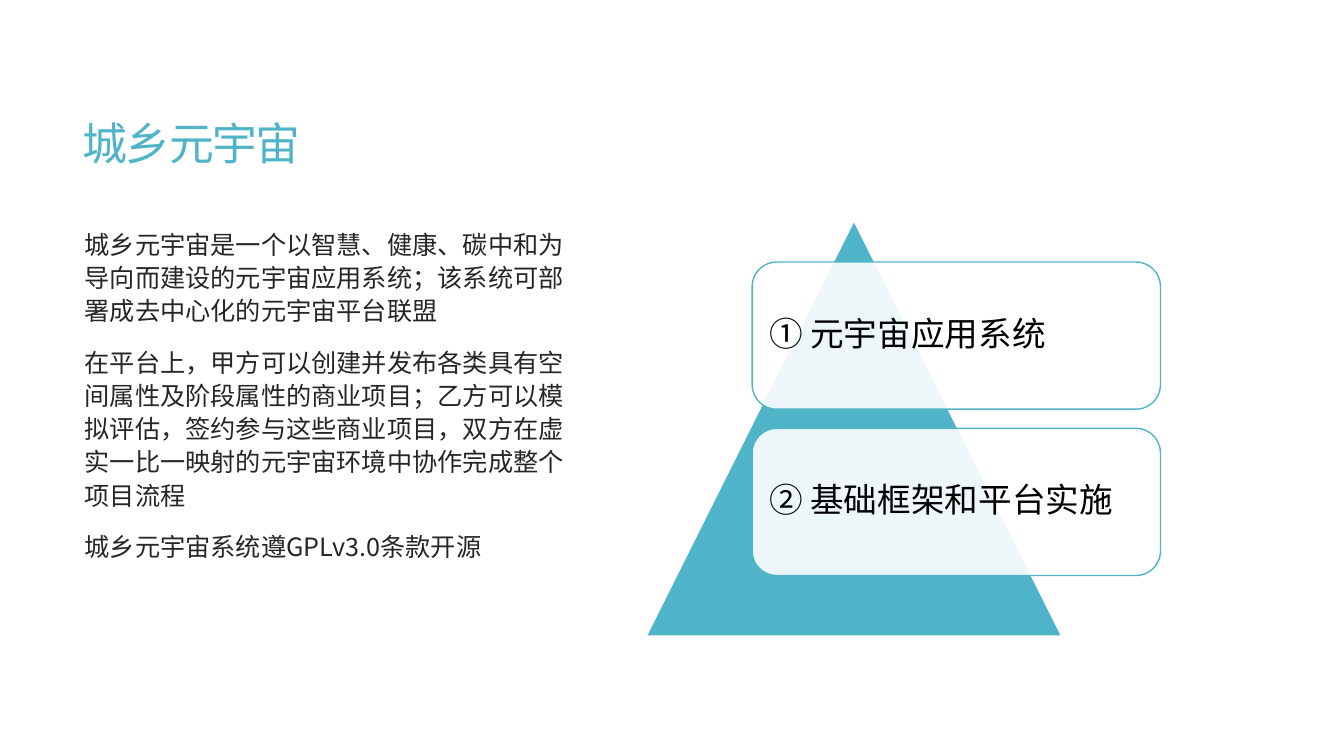
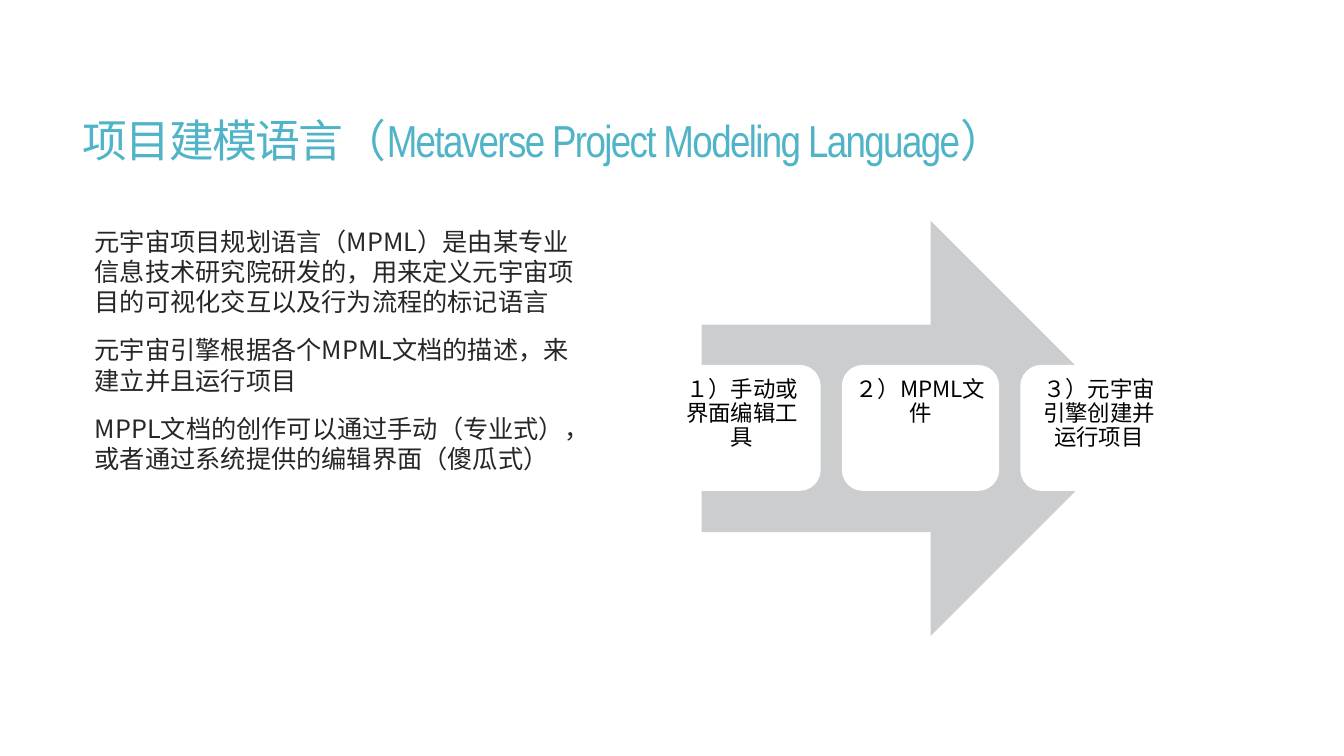
from dataclasses import dataclass

from lxml import etree
from pptx import Presentation
from pptx import util as u
from pptx.dml.color import RGBColor
from pptx.enum import shapes, text
from pptx.oxml import ns

PX = 9144  # EMU: 100 px to the inch
SANS, NARROW, ROMAN = "Noto Sans CJK SC", "Arial Narrow", "Calibri"
TEAL = RGBColor(0x50, 0xB4, 0xC8)
GREY = RGBColor(0xCC, 0xCD, 0xCE)
INK = RGBColor(0x26, 0x26, 0x26)
BLACK = RGBColor(0, 0, 0)
WHITE = RGBColor(0xFF, 0xFF, 0xFF)
Run = tuple[str, str]


@dataclass(frozen=True)
class Box:
    x: int
    y: int
    w: int
    h: int

    def emu(self) -> list[int]:
        return [n * PX for n in (self.x, self.y, self.w, self.h)]


@dataclass(frozen=True)
class Card:
    """Look of the rounded cards of one diagram."""
    size: int
    pad: int
    align: text.PP_ALIGN
    anchor: text.MSO_ANCHOR
    line: RGBColor | None = None
    alpha: int = 100


BODY = Box(74, 219, 510, 412)
TIER = Card(24, 10, text.PP_ALIGN.LEFT, text.MSO_ANCHOR.MIDDLE, TEAL, 90)
STEP = Card(16, 7, text.PP_ALIGN.CENTER, text.MSO_ANCHOR.TOP)


def sub(node, tag: str, **attrs: str):
    return etree.SubElement(node, ns.qn(tag), **attrs)


def write(para, runs: str | list[Run], *, size: int, color: RGBColor,
          align=text.PP_ALIGN.LEFT, lead: float = 1.0, before: int = 0,
          after: int = 0, track: int = 0) -> None:
    """Fill a paragraph; runs is plain text or (text, font) pairs."""
    para.alignment, para.line_spacing = align, lead
    para.space_before, para.space_after = u.Pt(before), u.Pt(after)
    for words, face in [(runs, SANS)] if isinstance(runs, str) else runs:
        run = para.add_run()
        run.text = words
        run.font.name, run.font.size = face, u.Pt(size)
        run.font.color.rgb = color
        props = run.font._element
        sub(props, "a:ea", typeface=SANS)
        if track:
            props.set("spc", str(track))


def place(shape, box: Box) -> None:
    shape.left, shape.top, shape.width, shape.height = box.emu()


def bullet(para, mark: str, hang: int) -> None:
    props = para._p.get_or_add_pPr()
    props.set("marL", str(hang * PX))
    props.set("indent", str(-hang * PX))
    if mark:
        sub(props, "a:buChar", char=mark)
    else:
        sub(props, "a:buNone")


def page(deck, title: str | list[Run], high: int, items: list[str], *,
         lead: float = 1.0, mark: str = "", hang: int = 0):
    """Add a slide with its title and list."""
    slide = deck.slides.add_slide(deck.slide_layouts[1])
    head, body = slide.shapes.title, slide.placeholders[1]
    place(head, Box(72, 55, 1178, high))
    place(body, BODY)
    for holder in (head, body):
        holder.text_frame.auto_size = text.MSO_AUTO_SIZE.NONE
        holder.text_frame.word_wrap = True
    head.text_frame.vertical_anchor = text.MSO_ANCHOR.MIDDLE
    write(head.text_frame.paragraphs[0], title, size=32, color=TEAL,
          lead=0.85, track=-120)
    frame = body.text_frame
    for i, item in enumerate(items):
        para = frame.add_paragraph() if i else frame.paragraphs[0]
        write(para, item, size=18, color=INK, lead=lead, before=13)
        bullet(para, mark, hang)
    return slide


def draw(slide, kind, box: Box, fill: RGBColor,
         line: RGBColor | None = None, alpha: int = 100):
    shape = slide.shapes.add_shape(kind, *box.emu())
    shape.shadow.inherit = False
    shape.fill.solid()
    shape.fill.fore_color.rgb = fill
    if alpha < 100:
        tint = shape._element.spPr.find(".//" + ns.qn("a:srgbClr"))
        sub(tint, "a:alpha", val=str(alpha * 1000))
    if line is None:
        shape.line.fill.background()
    else:
        shape.line.color.rgb = line
        shape.line.width = u.Pt(1)
    return shape


def card(slide, box: Box, runs: str | list[Run], look: Card) -> None:
    shape = draw(slide, shapes.MSO_SHAPE.ROUNDED_RECTANGLE, box, WHITE,
                 look.line, look.alpha)
    frame = shape.text_frame
    frame.word_wrap, frame.vertical_anchor = True, look.anchor
    pad = look.pad * PX
    frame.margin_left = frame.margin_right = pad
    frame.margin_top = frame.margin_bottom = pad
    write(frame.paragraphs[0], runs, size=look.size, color=BLACK,
          align=look.align, lead=0.9, after=round(look.size * 0.35))


def city(deck) -> None:
    slide = page(deck, "城乡元宇宙", 181, [
        "城乡元宇宙是一个以智慧、健康、碳中和为导向而建设的元宇宙应用系统；"
        "该系统可部署成去中心化的元宇宙平台联盟",
        "在平台上，甲方可以创建并发布各类具有空间属性及阶段属性的商业项目；"
        "乙方可以模拟评估，签约参与这些商业项目，"
        "双方在虚实一比一映射的元宇宙环境中协作完成整个项目流程",
        "城乡元宇宙系统遵GPLv3.0条款开源",
    ], lead=1.1)
    draw(slide, shapes.MSO_SHAPE.ISOSCELES_TRIANGLE,
         Box(641, 219, 412, 412), TEAL, WHITE)
    tiers = [("① ", "元宇宙应用系统"), ("② ", "基础框架和平台实施")]
    for i, (num, name) in enumerate(tiers):
        card(slide, Box(746, 260 + 165 * i, 405, 146),
             [(num, ROMAN), (name, SANS)], TIER)


def model(deck) -> None:
    title = [("项目建模语言（", SANS),
             ("Metaverse Project Modeling Language", NARROW), ("）", SANS)]
    slide = page(deck, title, 175, [
        "元宇宙项目规划语言（MPML）是由某专业信息技术研究院研发的，"
        "用来定义元宇宙项目的可视化交互以及行为流程的标记语言",
        "元宇宙引擎根据各个MPML文档的描述，来建立并且运行项目",
        "MPPL文档的创作可以通过手动（专业式），"
        "或者通过系统提供的编辑界面（傻瓜式）",
    ], mark=" ", hang=10)
    draw(slide, shapes.MSO_SHAPE.RIGHT_ARROW, Box(696, 219, 433, 412), GREY)
    steps = ["１）手动或界面编辑工具", "２）MPML文件",
             "３）元宇宙引擎创建并运行项目"]
    for i, step in enumerate(steps):
        card(slide, Box(658 + 177 * i, 362, 156, 125), step, STEP)


def main() -> None:
    deck = Presentation()
    deck.slide_width, deck.slide_height = 1333 * PX, 750 * PX
    city(deck)
    model(deck)
    deck.save("out.pptx")


if __name__ == "__main__":
    main()
